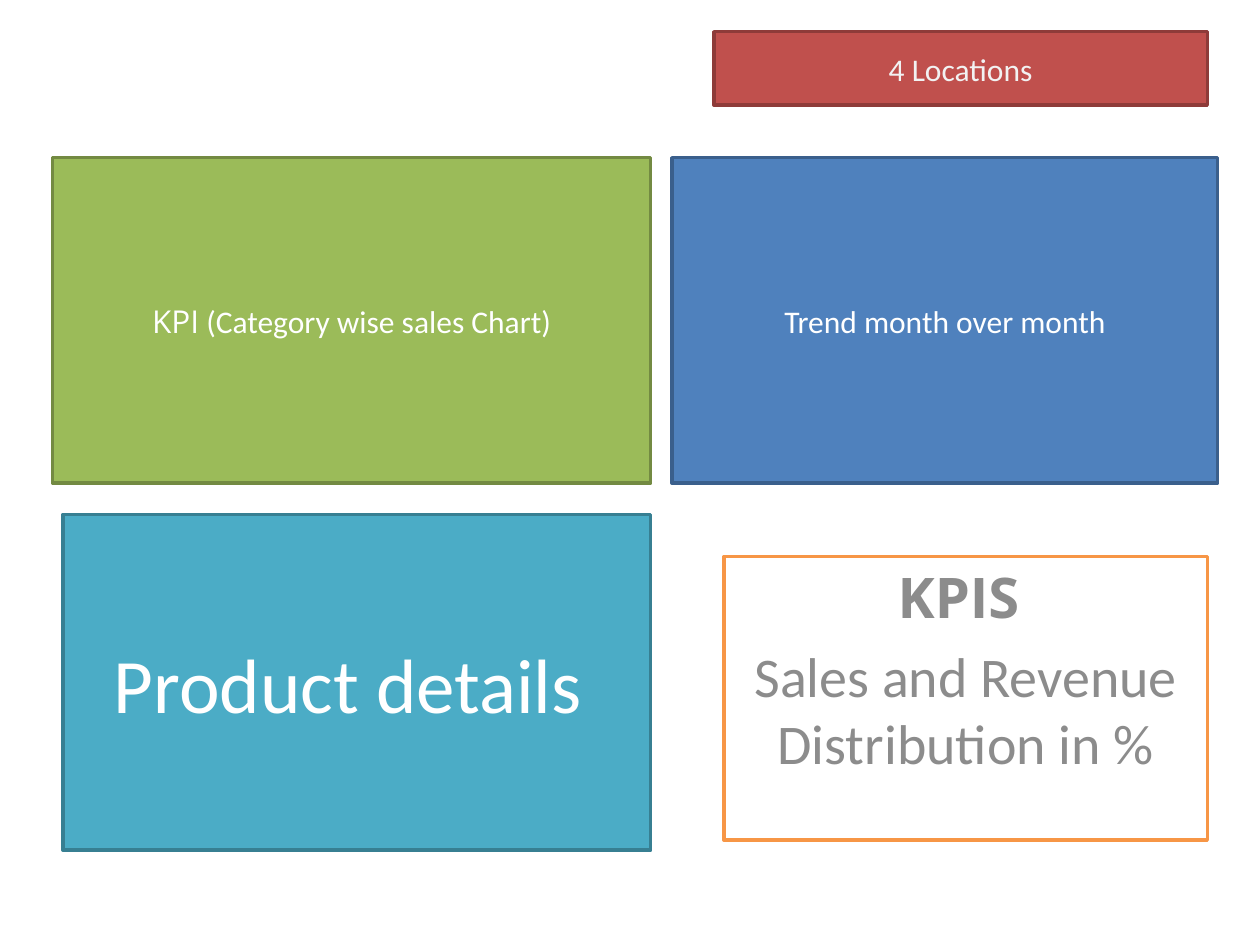
"""Build a sales dashboard layout slide made of labelled panels."""
from dataclasses import dataclass

from pptx import Presentation
from pptx.dml.color import RGBColor
from pptx.enum.shapes import MSO_SHAPE as Preset
from pptx.enum.text import MSO_ANCHOR as Anchor, PP_ALIGN as Align
from pptx.slide import Slide
from pptx.util import Cm, Pt


@dataclass(frozen=True)
class Theme:
    white: str = "FFFFFF"
    pale: str = "F2F2F2"
    grey: str = "8C8C8C"
    teal: str = "4BACC6"
    teal_edge: str = "377F92"
    orange: str = "F79646"
    red: str = "C0504D"
    red_edge: str = "8E3B39"
    green: str = "9BBB59"
    green_edge: str = "738A42"
    blue: str = "4F81BD"
    blue_edge: str = "3A5F8C"
    body_font: str = "Calibri"
    accent_font: str = "Open Sans"
    label: float = 18
    subtitle: float = 32
    title: float = 44
    border: float = 2
    paragraph_gap: float = 6.4


THEME = Theme()


@dataclass(frozen=True)
class Words:
    text: str
    font: str = THEME.body_font
    bold: bool = False


@dataclass(frozen=True)
class Panel:
    left: float
    top: float
    width: float
    height: float
    fill: str
    edge: str
    paragraphs: tuple[tuple[Words, ...], ...]
    size: float = THEME.label
    color: str = THEME.white
    anchor: Anchor = Anchor.MIDDLE
    space_before: float = 0


ROW_TOP, ROW_HEIGHT = 3.18, 6.56

PANELS = (
    Panel(1.27, 10.37, 11.85, 6.77, THEME.teal, THEME.teal_edge,
          ((Words("Product details "),),), size=THEME.title),
    Panel(14.6, 11.22, 9.74, 5.72, THEME.white, THEME.orange,
          ((Words("KPIS ", THEME.accent_font, True),),
           (Words("Sales and Revenue Distribution in %"),)),
          size=THEME.subtitle, color=THEME.grey, anchor=Anchor.TOP,
          space_before=THEME.paragraph_gap),
    Panel(14.39, 0.64, 9.95, 1.48, THEME.red, THEME.red_edge,
          ((Words("4 Locations"),),), color=THEME.pale),
    Panel(1.06, ROW_TOP, 12.06, ROW_HEIGHT, THEME.green, THEME.green_edge,
          ((Words("KPI", THEME.accent_font),
            Words(" (Category wise sales Chart)")),)),
    Panel(13.55, ROW_TOP, 11, ROW_HEIGHT, THEME.blue, THEME.blue_edge,
          ((Words("Trend month over month"),),)),
)


def draw_panel(slide: Slide, panel: Panel) -> None:
    shape = slide.shapes.add_shape(
        Preset.RECTANGLE, Cm(panel.left), Cm(panel.top),
        Cm(panel.width), Cm(panel.height))
    shape.shadow.inherit = False
    shape.fill.solid()
    shape.fill.fore_color.rgb = RGBColor.from_string(panel.fill)
    shape.line.color.rgb = RGBColor.from_string(panel.edge)
    shape.line.width = Pt(THEME.border)

    frame = shape.text_frame
    frame.word_wrap = True
    frame.vertical_anchor = panel.anchor
    for index, pieces in enumerate(panel.paragraphs):
        paragraph = frame.add_paragraph() if index else frame.paragraphs[0]
        paragraph.alignment = Align.CENTER
        paragraph.space_before = Pt(panel.space_before)
        for words in pieces:
            run = paragraph.add_run()
            run.text = words.text
            run.font.name = words.font
            run.font.size = Pt(panel.size)
            run.font.bold = words.bold
            run.font.color.rgb = RGBColor.from_string(panel.color)


def main() -> None:
    presentation = Presentation()
    presentation.slide_width, presentation.slide_height = Cm(25.4), Cm(19.05)
    slide = presentation.slides.add_slide(presentation.slide_layouts[6])
    for panel in PANELS:
        draw_panel(slide, panel)
    presentation.save("out.pptx")


main()
